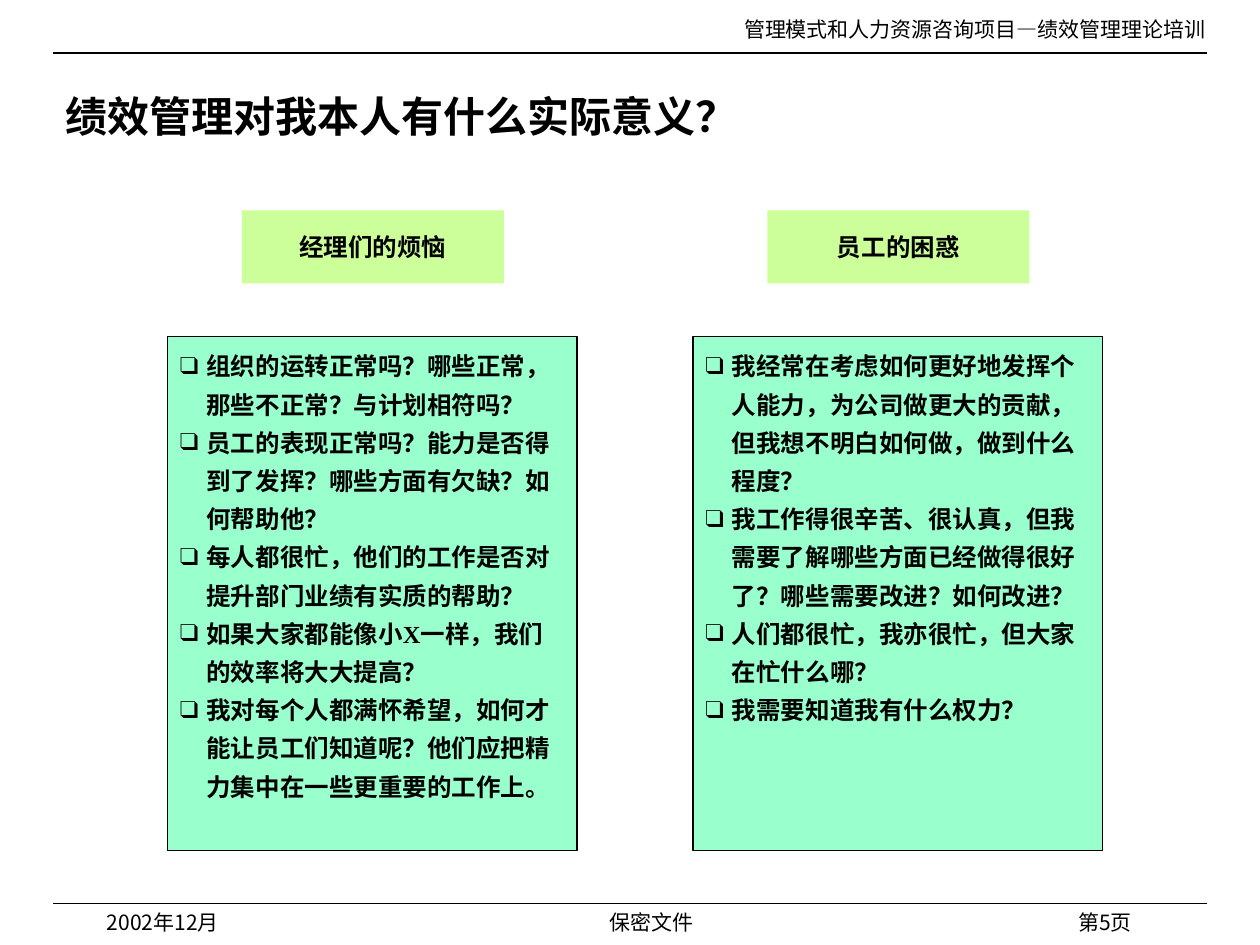
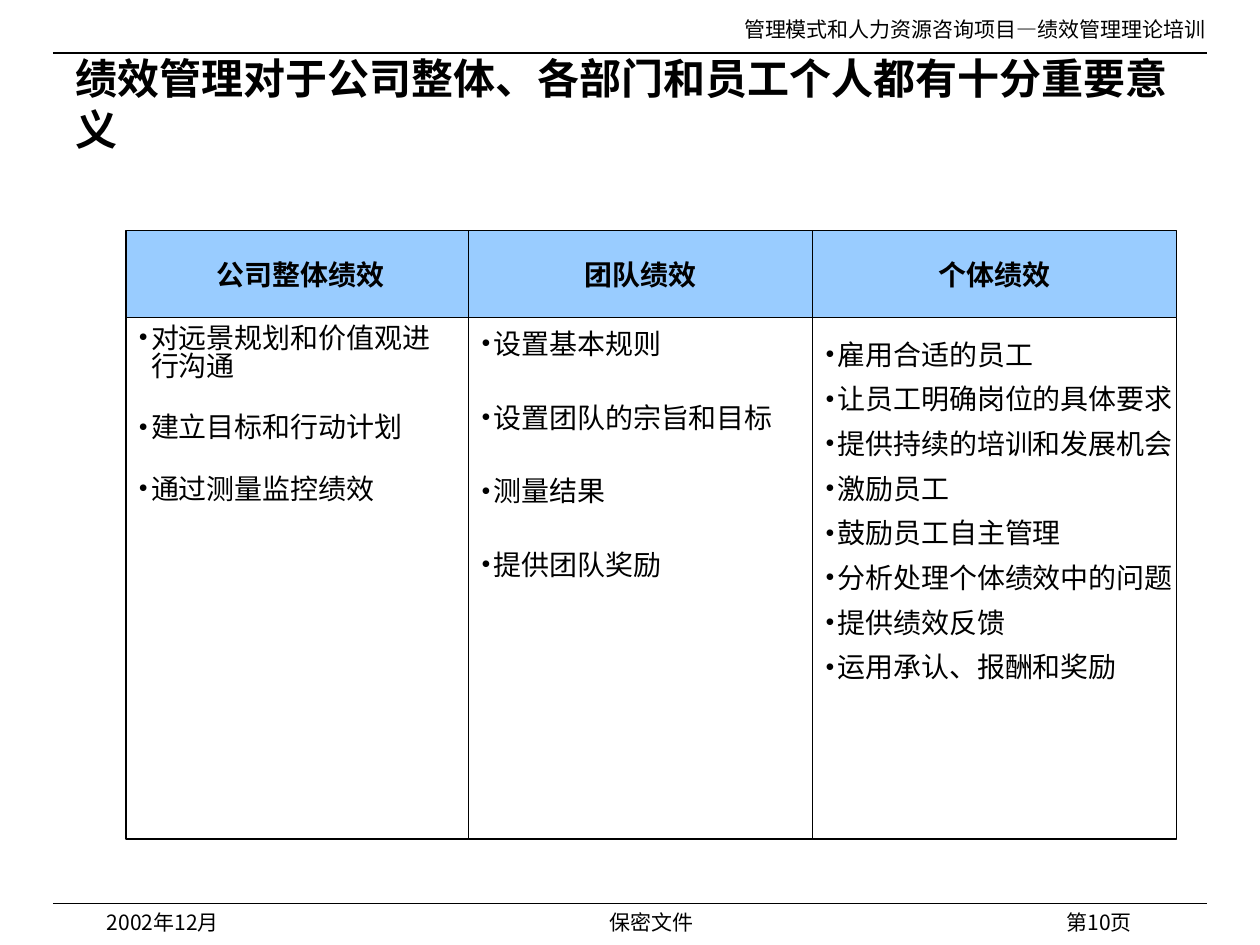
from lxml.etree import SubElement
from pptx import Presentation
from pptx.dml.color import RGBColor
from pptx.enum.shapes import MSO_CONNECTOR, MSO_SHAPE
from pptx.enum.text import MSO_ANCHOR, PP_ALIGN
from pptx.oxml.ns import qn
from pptx.util import Inches, Pt

BLACK = RGBColor(0x00, 0x00, 0x00)
WHITE = RGBColor(0xFF, 0xFF, 0xFF)
LIME = RGBColor(0xCC, 0xFF, 0x99)
MINT = RGBColor(0x99, 0xFF, 0xCC)
SKY = RGBColor(0x99, 0xCC, 0xFF)
SERIF = "Times New Roman"
SANS = "Noto Sans CJK SC"


def write_text(shape, lines, size=12, font=SERIF, bold=False, align=PP_ALIGN.LEFT,
               anchor=MSO_ANCHOR.TOP, bullet=None, indent=0, spacing=None, gap=0):
    """Fill a shape with one paragraph per line."""
    frame = shape.text_frame
    frame.word_wrap = True
    frame.vertical_anchor = anchor
    for index, line in enumerate(lines):
        paragraph = frame.add_paragraph() if index else frame.paragraphs[0]
        if bullet:
            properties = paragraph._p.get_or_add_pPr()
            properties.set("marL", str(Inches(indent)))
            properties.set("indent", str(-Inches(indent)))
            color = SubElement(properties, qn("a:buClr"))
            SubElement(color, qn("a:srgbClr"), val=str(BLACK))
            SubElement(properties, qn("a:buFont"), typeface=SERIF)
            SubElement(properties, qn("a:buChar"), char=bullet)
        paragraph.alignment = align
        if spacing:
            paragraph.line_spacing = spacing
        if index and gap:
            paragraph.space_before = Pt(gap)
        run = paragraph.add_run()
        run.text = line
        run.font.size = Pt(size)
        run.font.bold = bold
        run.font.color.rgb = BLACK
        run.font.name = font
        SubElement(run._r.get_or_add_rPr(), qn("a:ea"), typeface=SANS)


def add_box(slide, left, top, width, height, fill=None, outline=True):
    """Add a filled rectangle, or a plain text box when there is no fill."""
    area = [Inches(length) for length in (left, top, width, height)]
    if fill is None:
        return slide.shapes.add_textbox(*area)
    box = slide.shapes.add_shape(MSO_SHAPE.RECTANGLE, *area)
    box.shadow.inherit = False
    box.fill.solid()
    box.fill.fore_color.rgb = fill
    if outline:
        box.line.color.rgb = BLACK
        box.line.width = Pt(0.75)
    else:
        box.line.fill.background()
    return box


presentation = Presentation()
presentation.slide_width = Inches(10)
presentation.slide_height = Inches(7.5)

# Shared frame: rules, running header, footer and title
pages = [
    ("第5页", "绩效管理对我本人有什么实际意义？", (0.42, 0.58, 8.92, 0.67)),
    ("第10页", "绩效管理对于公司整体、各部门和员工个人都有十分重要意义", (0.5, 0.37, 8.92, 0.9)),
]
slides = []
for page_number, title, title_area in pages:
    slide = presentation.slides.add_slide(presentation.slide_layouts[6])
    slides.append(slide)
    for rule_top in (0.42, 7.17):
        rule = slide.shapes.add_connector(MSO_CONNECTOR.STRAIGHT, Inches(0.42), Inches(rule_top),
                                          Inches(9.58), Inches(rule_top))
        rule.line.color.rgb = BLACK
        rule.line.width = Pt(0.75)
        SubElement(rule._element.spPr, qn("a:effectLst"))
    write_text(add_box(slide, 5, 0.08, 4.67, 0.3),
               ["管理模式和人力资源咨询项目—绩效管理理论培训"], align=PP_ALIGN.RIGHT)
    write_text(add_box(slide, 0.75, 7.17, 2.08, 0.25), ["2002年12月"], font=SANS)
    write_text(add_box(slide, 2.92, 7.17, 4.5, 0.25), ["保密文件"], font=SANS,
               align=PP_ALIGN.CENTER)
    write_text(add_box(slide, 7, 7.17, 2.08, 0.17), [page_number], font=SANS,
               align=PP_ALIGN.RIGHT)
    write_text(add_box(slide, *title_area), [title], size=24, bold=True,
               anchor=MSO_ANCHOR.MIDDLE)

concerns_slide, levels_slide = slides

# Concerns of managers and employees: a label above a bulleted panel
concerns = [
    ("经理们的烦恼", [
        "组织的运转正常吗？哪些正常，那些不正常？与计划相符吗？",
        "员工的表现正常吗？能力是否得到了发挥？哪些方面有欠缺？如何帮助他？",
        "每人都很忙，他们的工作是否对提升部门业绩有实质的帮助？",
        "如果大家都能像小X一样，我们的效率将大大提高？",
        "我对每个人都满怀希望，如何才能让员工们知道呢？他们应把精力集中在一些更重要的工作上。",
    ]),
    ("员工的困惑", [
        "我经常在考虑如何更好地发挥个人能力，为公司做更大的贡献，但我想不明白如何做，做到什么程度？",
        "我工作得很辛苦、很认真，但我需要了解哪些方面已经做得很好了？哪些需要改进？如何改进？",
        "人们都很忙，我亦很忙，但大家在忙什么哪？",
        "我需要知道我有什么权力？",
    ]),
]
for column, (label_text, questions) in enumerate(concerns):
    offset = column * 4.17
    panel = add_box(concerns_slide, 1.33 + offset, 2.67, 3.25, 4.08, MINT)
    write_text(panel, questions, size=14, bold=True, bullet="❑", indent=0.21, spacing=1.3)
    label = add_box(concerns_slide, 1.92 + offset, 1.67, 2.08, 0.58, LIME, outline=False)
    write_text(label, [label_text], size=14, bold=True, align=PP_ALIGN.CENTER,
               anchor=MSO_ANCHOR.MIDDLE)

# Performance levels: heading, its left inset, width, line spacing, gap, right inset, items
levels = [
    ("公司整体绩效", 0.15, 2.72, 0.83, 19.2, 0.1,
     ["对远景规划和价值观进行沟通", "建立目标和行动计划", "通过测量监控绩效"]),
    ("团队绩效", 0.1, 2.73, 1.0, 23, 0.1,
     ["设置基本规则", "设置团队的宗旨和目标", "测量结果", "提供团队奖励"]),
    ("个体绩效", 0.1, 2.89, 1.33, 0, 0,
     ["雇用合适的员工", "让员工明确岗位的具体要求", "提供持续的培训和发展机会", "激励员工",
      "鼓励员工自主管理", "分析处理个体绩效中的问题", "提供绩效反馈", "运用承认、报酬和奖励"]),
]
left = 1
for heading, heading_inset, width, spacing, gap, right_inset, items in levels:
    heading_box = add_box(levels_slide, left, 1.83, width, 0.69, SKY)
    heading_box.text_frame.margin_left = Inches(heading_inset)
    write_text(heading_box, [heading], size=16, font=SANS, bold=True, align=PP_ALIGN.CENTER,
               anchor=MSO_ANCHOR.MIDDLE)
    items_box = add_box(levels_slide, left, 2.52, width, 4.14, WHITE)
    items_box.text_frame.margin_top = Inches(0.07)
    items_box.text_frame.margin_right = Inches(right_inset)
    write_text(items_box, items, size=16, font=SANS, bullet="•", indent=0.1,
               spacing=spacing, gap=gap)
    left += width

presentation.save("out.pptx")
